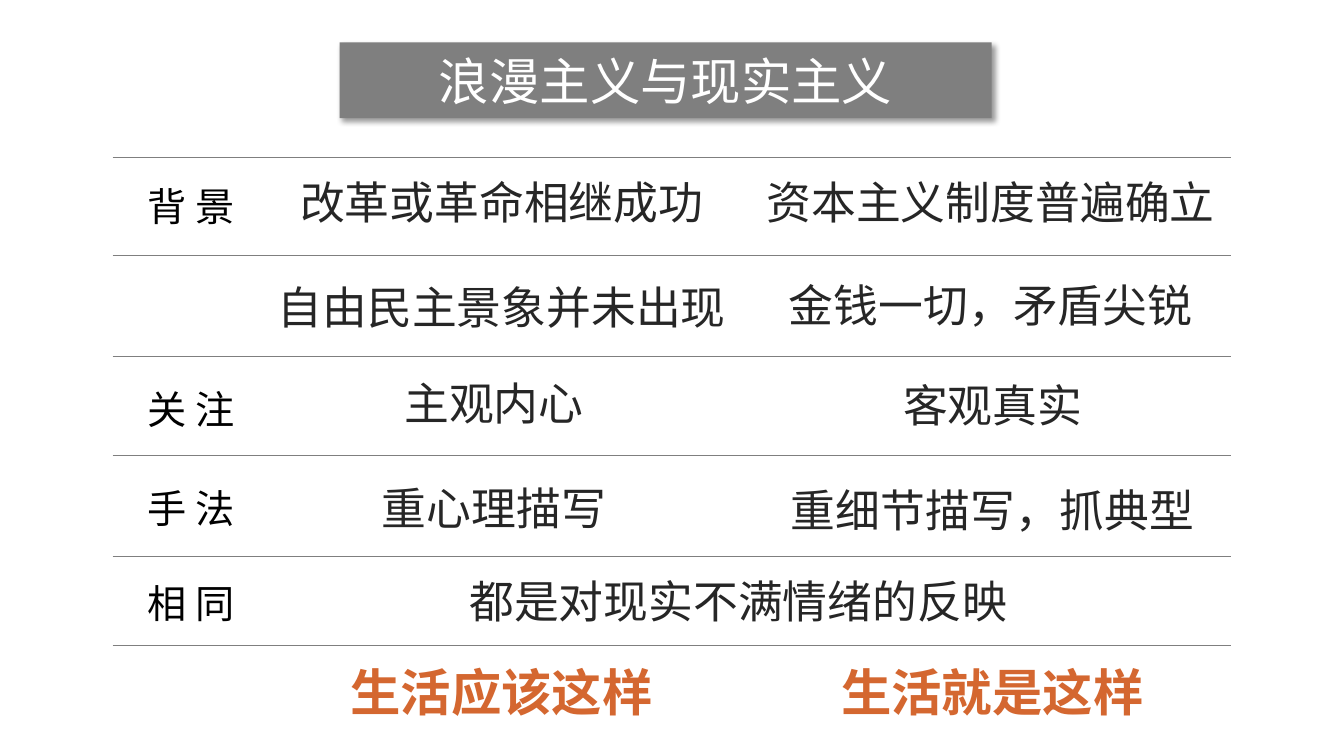
from lxml.etree import SubElement
from pptx import Presentation
from pptx.dml.color import RGBColor
from pptx.enum.shapes import MSO_CONNECTOR, MSO_SHAPE
from pptx.enum.text import MSO_ANCHOR, MSO_AUTO_SIZE, PP_ALIGN
from pptx.oxml import parse_xml
from pptx.oxml.ns import nsdecls, qn
from pptx.util import Cm, Pt

GRAY = RGBColor(0x7F, 0x7F, 0x7F)
WHITE = RGBColor(0xFF, 0xFF, 0xFF)
BLACK = RGBColor(0, 0, 0)
DARK = RGBColor(0x26, 0x26, 0x26)
ORANGE = RGBColor(0xD4, 0x67, 0x30)
CJK_FONT = "Noto Sans CJK SC"

TITLE = "浪漫主义与现实主义"
LABELS = [("背景", 4.47), ("关注", 9.58), ("手法", 12.07), ("相同", 14.48)]
ENTRIES = [
    ("改革或革命相继成功", 12.65, 4.29),
    ("资本主义制度普遍确立", 24.97, 4.29),
    ("自由民主景象并未出现", 12.65, 6.93),
    ("金钱一切，矛盾尖锐", 24.97, 6.88),
    ("主观内心", 12.45, 9.35),
    ("客观真实", 25.02, 9.4),
    ("重心理描写", 12.45, 11.99),
    ("重细节描写，抓典型", 25.02, 12.04),
    ("都是对现实不满情绪的反映", 18.61, 14.33),
]
SLOGANS = [("生活应该这样", 12.64), ("生活就是这样", 25.01)]
RULES = [3.96, 6.43, 8.97, 11.48, 14.02, 16.26]
RULE_LEFT, RULE_RIGHT = 2.84, 31.01
LABEL_CENTER, LABEL_WIDTH = 4.81, 2.92
SLOGAN_TOP, SLOGAN_WIDTH = 16.54, 13.69
GLYPH_WIDTH, BOX_PADDING = 1.14, 0.51


def write(frame, text, font, size, color, bold=False, spacing=None):
    para = frame.paragraphs[0]
    para.text = text
    para.alignment = PP_ALIGN.CENTER
    span = para.runs[0]
    span.font.name = font
    span.font.size = Pt(size)
    span.font.color.rgb = color
    span.font.bold = bold
    properties = span.font._element
    SubElement(properties, qn("a:ea")).set("typeface", CJK_FONT)
    if spacing:
        properties.set("spc", str(spacing * 100))


def add_text(page, text, center, top, width, height, font, size, color, wrap=True, **style):
    box = page.shapes.add_textbox(Cm(center - width / 2), Cm(top), Cm(width), Cm(height))
    box.text_frame.word_wrap = wrap
    box.text_frame.auto_size = MSO_AUTO_SIZE.SHAPE_TO_FIT_TEXT
    write(box.text_frame, text, font, size, color, **style)


def add_title(page):
    banner = page.shapes.add_shape(MSO_SHAPE.RECTANGLE, Cm(8.56), Cm(1.07), Cm(16.43), Cm(1.91))
    banner.fill.solid()
    banner.fill.fore_color.rgb = GRAY
    banner.line.fill.background()
    banner.shadow.inherit = False
    effects = banner._element.spPr.find(qn("a:effectLst"))
    effects.append(parse_xml(
        f'<a:outerShdw {nsdecls("a")} blurRad="50800" dist="38100" dir="2700000" '
        'algn="tl" rotWithShape="0"><a:srgbClr val="000000"><a:alpha val="40000"/>'
        '</a:srgbClr></a:outerShdw>'))
    banner.text_frame.vertical_anchor = MSO_ANCHOR.MIDDLE
    write(banner.text_frame, TITLE, "Arial", 36, WHITE)


def add_rule(page, top):
    rule = page.shapes.add_connector(
        MSO_CONNECTOR.STRAIGHT, Cm(RULE_LEFT), Cm(top), Cm(RULE_RIGHT), Cm(top))
    rule.line.color.rgb = GRAY
    rule.line.width = Pt(0.5)
    SubElement(rule._element.spPr, qn("a:effectLst"))


def main():
    deck = Presentation()
    deck.slide_width, deck.slide_height = Cm(33.87), Cm(19.05)
    page = deck.slides.add_slide(deck.slide_layouts[6])
    add_title(page)
    for top in RULES:
        add_rule(page, top)
    for text, top in LABELS:
        add_text(page, text, LABEL_CENTER, top, LABEL_WIDTH, 1.45, "Calibri", 28, BLACK, spacing=6)
    for text, center, top in ENTRIES:
        width = len(text) * GLYPH_WIDTH + BOX_PADDING
        add_text(page, text, center, top, width, 1.63, CJK_FONT, 32, DARK, wrap=False)
    for text, center in SLOGANS:
        add_text(page, text, center, SLOGAN_TOP, SLOGAN_WIDTH, 1.8, CJK_FONT, 36, ORANGE, bold=True)
    deck.save("out.pptx")


if __name__ == "__main__":
    main()
